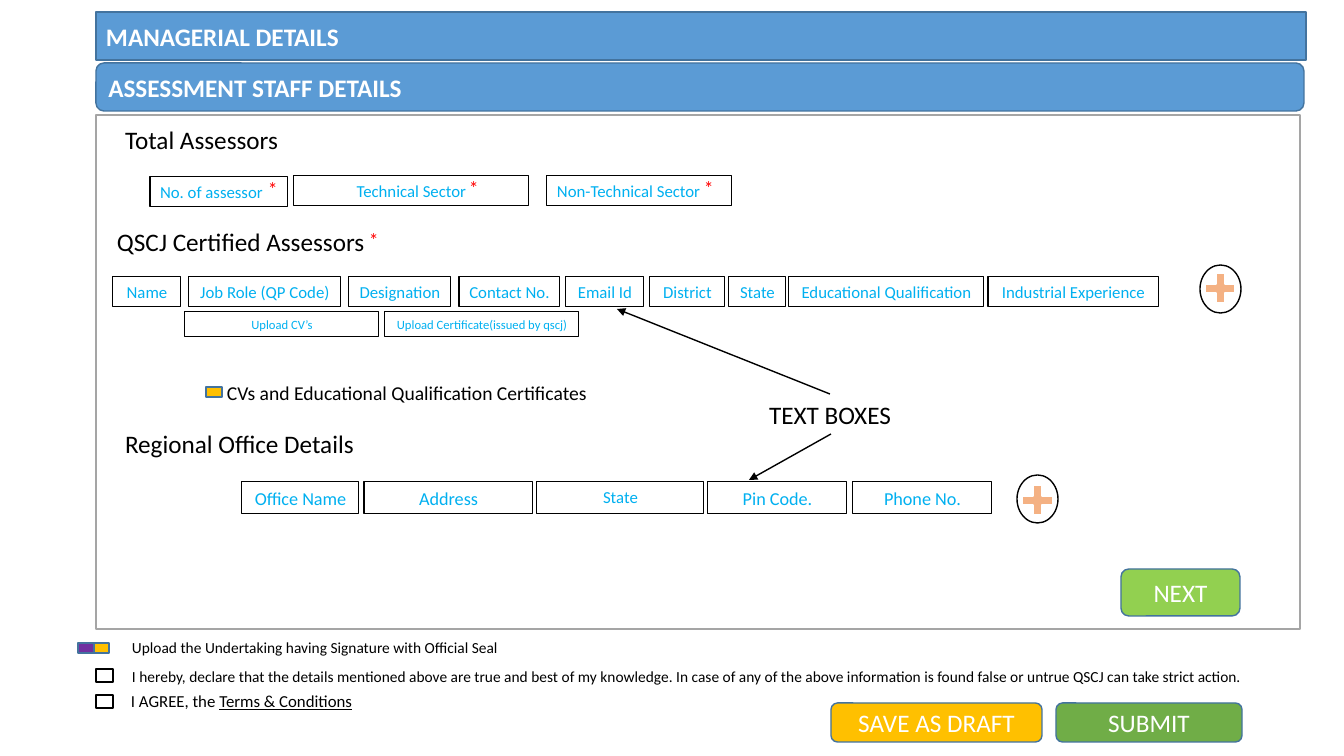
from lxml.etree import SubElement
from pptx import Presentation
from pptx.dml.color import RGBColor
from pptx.enum.shapes import MSO_CONNECTOR as Wire, MSO_SHAPE as Geo
from pptx.enum.text import MSO_ANCHOR as Anchor, MSO_AUTO_SIZE as Fit, PP_ALIGN as Align
from pptx.oxml.ns import qn
from pptx.util import Emu, Pt

SCALE = 914400 / 100.8
BLACK, WHITE, CYAN, RED = "000000", "FFFFFF", "00B0F0", "FF0000"
BLUE, NAVY, GOLD, GREY = "5B9BD5", "43739E", "FFC000", "A5A5A5"
LIME, GREEN, PLUM, PEACH = "92D050", "70AD47", "7030A0", "F4B183"


def px(*vals):
    return [Emu(round(v * SCALE)) for v in vals]


def color(code):
    return RGBColor.from_string(code)


class Form:
    font = "Calibri"

    def __init__(self, deck):
        self.slide = deck.slides.add_slide(deck.slide_layouts[5])
        self.shapes = self.slide.shapes

    def paint(self, item, fill, line, width=1):
        if fill:
            item.fill.solid()
            item.fill.fore_color.rgb = color(fill)
        else:
            item.fill.background()
        item.line.color.rgb = color(line)
        item.line.width = Pt(width)

    def letter(self, item, runs, size, ink, align=Align.LEFT, bold=False,
               anchor=Anchor.TOP, side=10):
        frame = item.text_frame
        frame.word_wrap = True
        frame.auto_size = Fit.NONE
        frame.vertical_anchor = anchor
        frame.margin_left, frame.margin_right = px(side, side)
        frame.margin_top, frame.margin_bottom = px(5, 5)
        para = frame.paragraphs[0]
        para.alignment = align
        for text, under in runs:
            run = para.add_run()
            run.text = text
            font = run.font
            font.name, font.size, font.bold = self.font, Pt(size), bold
            font.underline = under
            font.color.rgb = color(ink)

    def title(self, text, box):
        item = self.shapes.title
        item.left, item.top, item.width, item.height = px(*box)
        geom = SubElement(item._element.spPr, qn("a:prstGeom"), prst="roundRect")
        SubElement(geom, qn("a:avLst"))
        self.paint(item, BLUE, NAVY)
        self.letter(item, [(text, False)], 18, WHITE, bold=True, anchor=Anchor.MIDDLE)

    def shape(self, kind, box, fill, line, width=1):
        item = self.shapes.add_shape(kind, *px(*box))
        item.shadow.inherit = False
        self.paint(item, fill, line, width)
        return item

    def button(self, text, box, fill, align=Align.CENTER, bold=False):
        item = self.shape(Geo.ROUNDED_RECTANGLE, box, fill, NAVY)
        self.letter(item, [(text, False)], 18, WHITE, align, bold, Anchor.MIDDLE)

    def field(self, text, box, size=12, align=Align.CENTER):
        item = self.shape(Geo.RECTANGLE, box, None, BLACK, 0.75)
        side = 4 if align == Align.CENTER else 10
        self.letter(item, [(text, False)], size, CYAN, align, side=side)

    def label(self, runs, box, size, ink=BLACK, align=Align.LEFT):
        item = self.shapes.add_textbox(*px(*box))
        self.letter(item, runs, size, ink, align)

    def plus(self, left, top, drop):
        self.shape(Geo.OVAL, (left, top, 41, 48), WHITE, BLACK)
        self.shape(Geo.MATH_PLUS, (left, top + drop, 41, 41), PEACH, WHITE, 1.5)

    def arrow(self, start, end):
        item = self.shapes.add_connector(Wire.STRAIGHT, *px(*start, *end))
        item.line.color.rgb = color(BLACK)
        item.line.width = Pt(1)
        line = item._element.spPr.find(qn("a:ln"))
        SubElement(line, qn("a:tailEnd"), type="triangle")
        SubElement(item._element.spPr, qn("a:effectLst"))


deck = Presentation()
deck.slide_width, deck.slide_height = px(1344, 756)
form = Form(deck)

form.title("MANAGERIAL DETAILS", (96, 12, 1210, 48))
form.button("ASSESSMENT STAFF DETAILS", (96, 63, 1208, 48), BLUE, Align.LEFT, True)
form.shape(Geo.RECTANGLE, (96, 115, 1204, 514), WHITE, GREY)

for text, left, top in [
    ("Total Assessors", 115, 119),
    ("QSCJ Certified Assessors", 107, 221),
    ("Regional Office Details", 115, 423),
]:
    form.label([(text, False)], (left, top, 620, 40), 18)

for text, left, top, width, align in [
    ("No. of assessor", 150, 177, 138, Align.LEFT),
    ("Technical Sector", 294, 176, 235, Align.CENTER),
    ("Non-Technical Sector", 547, 176, 185, Align.LEFT),
]:
    form.field(text, (left, top, width, 30), 12, align)

for left, top in [(258, 172), (459, 171), (694, 171), (359, 223)]:
    form.label([("*", False)], (left, top, 65, 34), 14, RED)

for text, left, width in [
    ("Name", 113, 68),
    ("Job Role (QP Code)", 189, 152),
    ("Designation", 349, 102),
    ("Contact No.", 459, 101),
    ("Email Id", 566, 78),
    ("District", 650, 75),
    ("State", 729, 57),
    ("Educational Qualification", 789, 195),
    ("Industrial Experience", 988, 171),
]:
    form.field(text, (left, 277, width, 30))

for text, left in [("Upload CV’s", 185), ("Upload Certificate(issued by qscj)", 385)]:
    form.field(text, (left, 312, 194, 25), 9)

for text, left, width, size in [
    ("Office Name", 242, 117, 13),
    ("Address", 364, 169, 13),
    ("State", 537, 167, 12),
    ("Pin Code.", 708, 139, 13),
    ("Phone No.", 853, 139, 13),
]:
    form.field(text, (left, 482, width, 32), size)

form.plus(1200, 265, 3)
form.plus(1017, 475, 5)

for left, top, fill in [(203, 371, GOLD), (90, 627, GOLD), (75, 627, PLUM)]:
    form.shape(Geo.MATH_MINUS, (left, top, 22, 42), fill, NAVY)
form.label([("CVs and Educational Qualification Certificates", False)],
           (188, 376, 438, 34), 14, align=Align.CENTER)
form.label([("TEXT BOXES", False)], (679, 394, 302, 40), 18, align=Align.CENTER)
form.arrow((830, 394), (617, 309))
form.arrow((831, 434), (749, 480))

form.label([("Upload the Undertaking having Signature with Official Seal", False)],
           (122, 633, 459, 29), 11)
form.label([("I hereby, declare that the details mentioned above are true and best of my "
             "knowledge. In case of any of the above information is found false or untrue "
             "QSCJ can take strict action.", False)], (122, 662, 1169, 29), 11)
form.label([("I AGREE, the ", False), ("Terms & Conditions", True)],
           (121, 686, 600, 30), 12)
for top in (669, 695):
    form.shape(Geo.RECTANGLE, (96, top, 17, 13), None, BLACK)

form.button("NEXT", (1121, 569, 119, 47), LIME)
form.button("SAVE AS DRAFT", (831, 703, 211, 39), GOLD)
form.button("SUBMIT", (1056, 703, 186, 39), GREEN)

deck.save("out.pptx")
